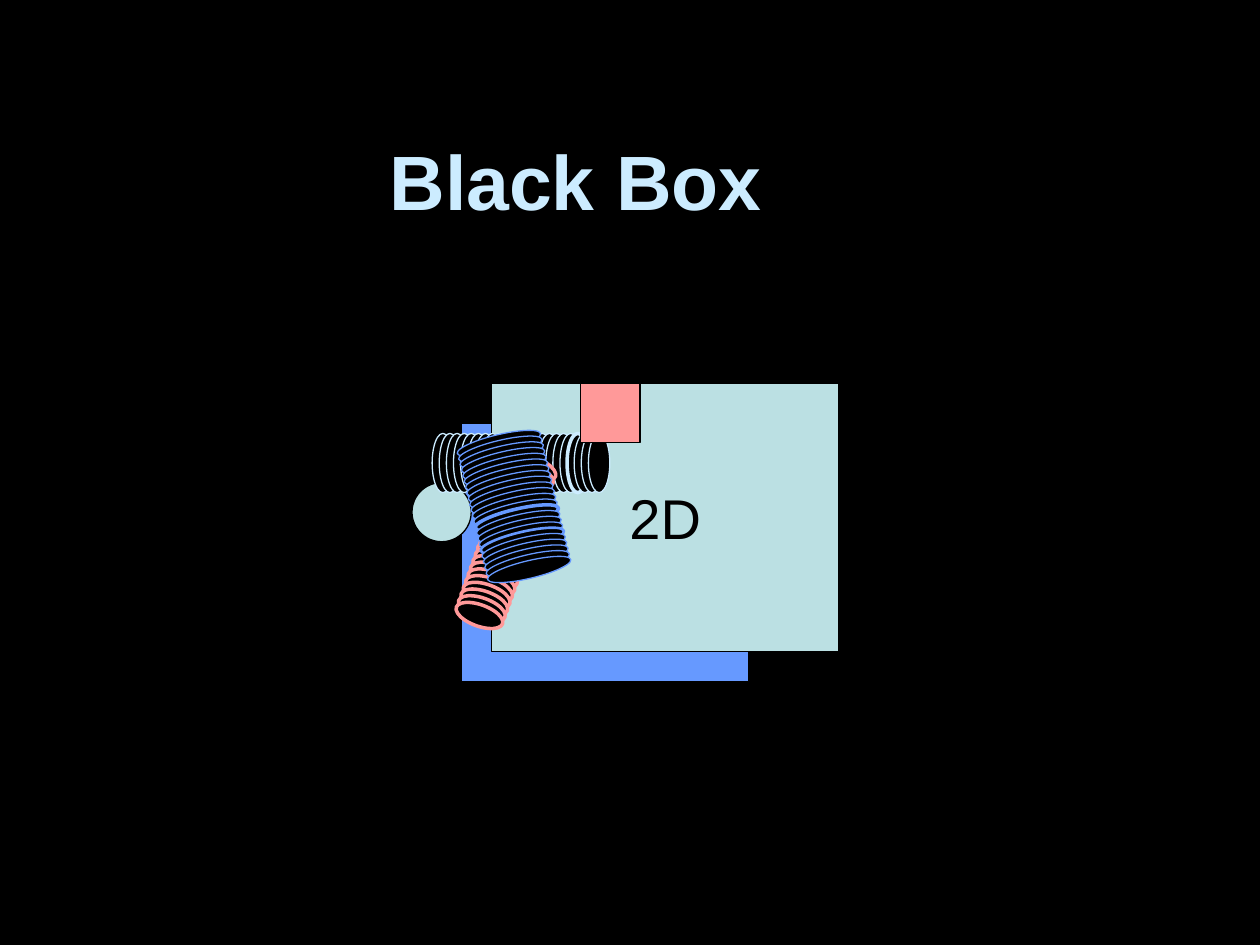
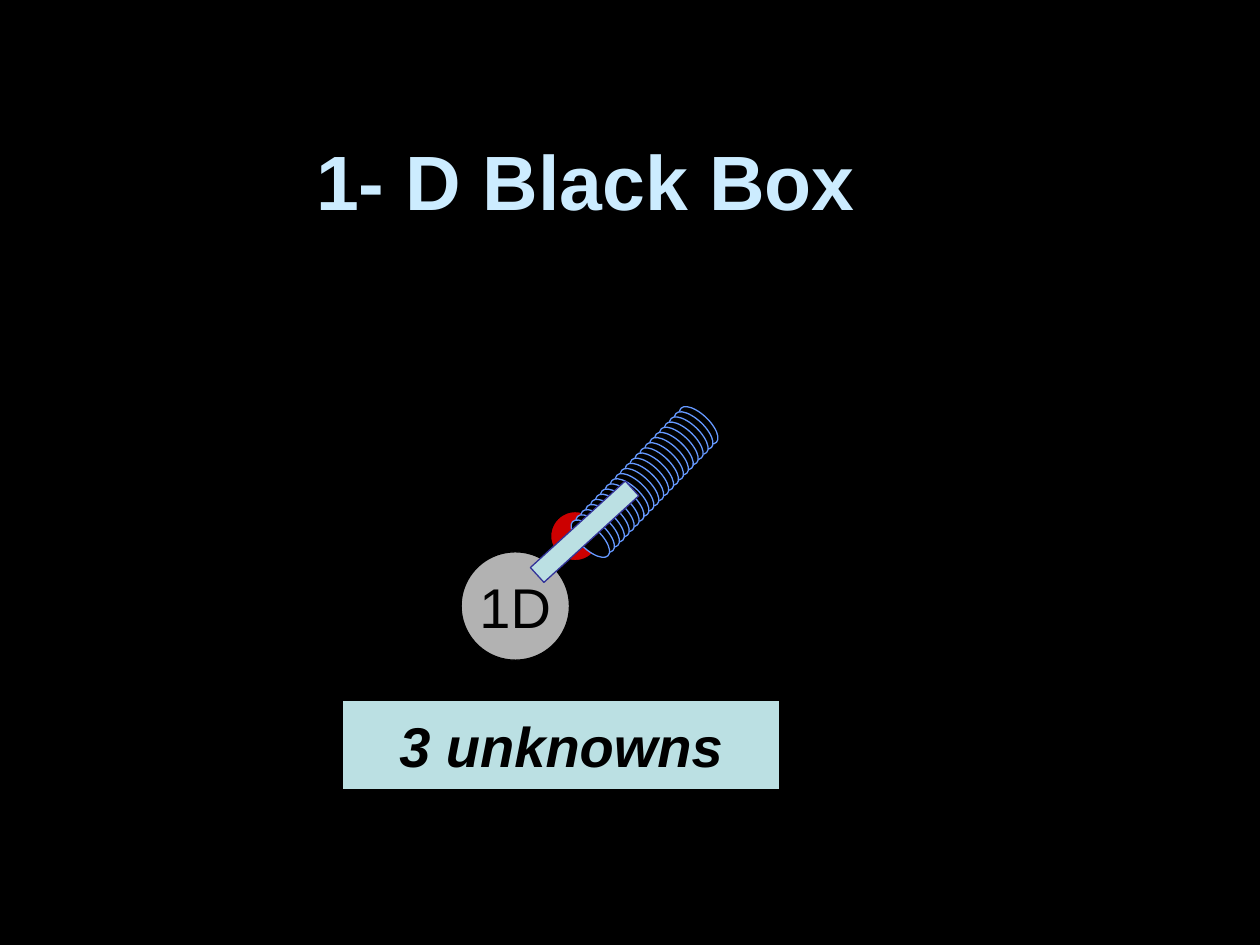
from dataclasses import dataclass

from pptx import Presentation
from pptx.dml.color import RGBColor
from pptx.enum.shapes import MSO_SHAPE
from pptx.enum.text import MSO_ANCHOR, MSO_AUTO_SIZE, PP_ALIGN
from pptx.util import Inches, Pt


@dataclass(frozen=True)
class Theme:
    black: str = "000000"
    ice: str = "CCECFF"
    teal: str = "BBE0E3"
    blue: str = "6699FF"
    salmon: str = "FF9999"
    gray: str = "B2B2B2"
    red: str = "CC0000"
    navy: str = "333399"
    font: str = "Arial"
    title_size: int = 44
    label_size: int = 32
    thin: float = 0.75
    medium: float = 1.5
    thick: float = 2


THEME = Theme()
RINGS_PER_COIL = 23
TITLE_TOP, TITLE_WIDTH, TITLE_HEIGHT = 0.76, 7.64, 1.34

# Boxes are (left, top, width, height). A coil gives the (left, top) of its
# first and last ring, the ring size, and the widths of its heavier rings.
SLIDES = [
    {
        "title": "Black Box",
        "title_left": 0.75,
        "parts": [
            {"box": (3.66, 3.36, 2.28, 2.05), "fill": THEME.blue},
            {"box": (3.9, 3.04, 2.76, 2.13), "fill": THEME.teal, "text": "2D"},
            {"box": (3.27, 3.83, 0.47, 0.47), "fill": THEME.teal, "kind": MSO_SHAPE.OVAL},
            {"coil": ((3.43, 3.44), (4.67, 3.44)), "ring": (0.17, 0.47),
             "color": THEME.ice, "heavy": {19: THEME.thick}},
            {"coil": ((4.14, 3.52), (3.72, 4.69)), "ring": (0.17, 0.39),
             "color": THEME.salmon, "rotation": 109.9, "weight": THEME.thick},
            {"box": (4.61, 3.04, 0.47, 0.47), "fill": THEME.salmon},
            {"coil": ((3.89, 3.18), (4.13, 4.18)), "ring": (0.14, 0.68),
             "color": THEME.blue, "rotation": 76.6,
             "heavy": {13: THEME.thick, 17: THEME.medium}},
        ],
    },
    {
        "title": "1- D Black Box",
        "title_left": 0.83,
        "parts": [
            {"box": (3.66, 4.38, 0.86, 0.86), "fill": THEME.gray,
             "kind": MSO_SHAPE.OVAL, "text": "1D"},
            {"box": (4.37, 4.06, 0.39, 0.39), "fill": THEME.red, "kind": MSO_SHAPE.OVAL},
            {"coil": ((5.46, 3.18), (4.6, 4.08)), "ring": (0.17, 0.39),
             "color": THEME.blue, "rotation": 133.7},
            {"box": (4.13, 4.14, 1.02, 0.16), "fill": THEME.teal,
             "line": THEME.navy, "rotation": 317.6},
            {"box": (2.72, 5.56, 3.47, 0.71), "fill": THEME.teal, "text": "3 unknowns",
             "text_format": {"bold": True, "italic": True}},
        ],
    },
]


def write_text(shape, text, size=THEME.label_size, color=THEME.black,
               bold=False, italic=False, wrap=False):
    frame = shape.text_frame
    frame.auto_size = MSO_AUTO_SIZE.NONE
    frame.word_wrap = wrap
    frame.vertical_anchor = MSO_ANCHOR.MIDDLE
    paragraph = frame.paragraphs[0]
    paragraph.alignment = PP_ALIGN.CENTER
    run = paragraph.add_run()
    run.text = text
    run.font.name = THEME.font
    run.font.size = Pt(size)
    run.font.bold = bold
    run.font.italic = italic
    run.font.color.rgb = RGBColor.from_string(color)


def add_part(shapes, box, fill, kind=MSO_SHAPE.RECTANGLE, line=THEME.black,
             weight=THEME.thin, rotation=0, text=None, text_format=None):
    shape = shapes.add_shape(kind, *map(Inches, box))
    shape.shadow.inherit = False
    shape.rotation = rotation
    shape.fill.solid()
    shape.fill.fore_color.rgb = RGBColor.from_string(fill)
    shape.line.color.rgb = RGBColor.from_string(line)
    shape.line.width = Pt(weight)
    if text:
        write_text(shape, text, **(text_format or {}))


def add_coil(shapes, coil, ring, color, rotation=0, weight=THEME.thin, heavy=None):
    """Group evenly spaced rings running from the first to the last position."""
    (first_left, first_top), (last_left, last_top) = coil
    group = shapes.add_group_shape()
    for index in range(RINGS_PER_COIL):
        share = index / (RINGS_PER_COIL - 1)
        left = first_left + share * (last_left - first_left)
        top = first_top + share * (last_top - first_top)
        add_part(group.shapes, (left, top, *ring), THEME.black, MSO_SHAPE.OVAL,
                 line=color, weight=(heavy or {}).get(index, weight), rotation=rotation)


def add_slide(presentation, content):
    slide = presentation.slides.add_slide(presentation.slide_layouts.get_by_name("Title Only"))
    title = slide.shapes.title
    title.left, title.top = Inches(content["title_left"]), Inches(TITLE_TOP)
    title.width, title.height = Inches(TITLE_WIDTH), Inches(TITLE_HEIGHT)
    write_text(title, content["title"], size=THEME.title_size, color=THEME.ice,
               bold=True, wrap=True)
    for part in content["parts"]:
        add = add_coil if "coil" in part else add_part
        add(slide.shapes, **part)


def main():
    presentation = Presentation()
    presentation.slide_width, presentation.slide_height = Inches(10), Inches(7.5)
    background = presentation.slide_master.background.fill
    background.solid()
    background.fore_color.rgb = RGBColor.from_string(THEME.black)
    for content in SLIDES:
        add_slide(presentation, content)
    presentation.save("out.pptx")


if __name__ == "__main__":
    main()
